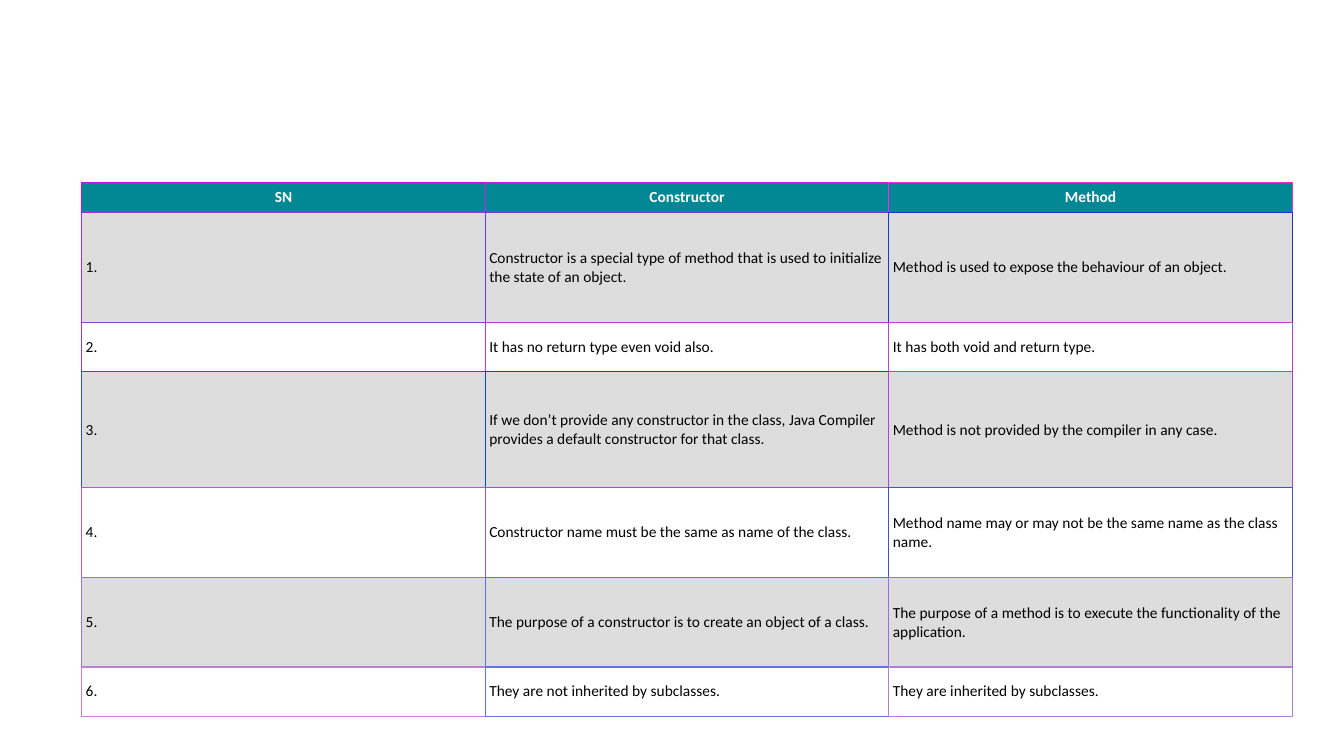
from lxml.etree import SubElement
from pptx import Presentation
from pptx.dml.color import RGBColor
from pptx.enum.text import MSO_ANCHOR as Anchor, PP_ALIGN as Align
from pptx.oxml.ns import qn
from pptx.util import Cm, Pt

# Content
ROWS = [
    ("SN", "Constructor", "Method"),
    ("1.", "Constructor is a special type of method that is used to initialize the state of an object.",
     "Method is used to expose the behaviour of an object."),
    ("2.", "It has no return type even void also.", "It has both void and return type."),
    ("3.", "If we don’t provide any constructor in the class, Java Compiler provides "
     "a default constructor for that class.",
     "Method is not provided by the compiler in any case."),
    ("4.", "Constructor name must be the same as name of the class.",
     "Method name may or may not be the same name as the class name."),
    ("5.", "The purpose of a constructor is to create an object of a class.",
     "The purpose of a method is to execute the functionality of the application."),
    ("6.", "They are not inherited by subclasses.", "They are inherited by subclasses."),
]

# Each cell's own border colour, used on its left and top
BORDERS = [
    ("B019D5", "C027D5", "F02DD5"),
    ("A032D5", "7038D5", "2034D5"),
    ("903FD5", "B040D5", "C03FD5"),
    ("304BD5", "0048D5", "A04AD5"),
    ("B05BD5", "9057D5", "4053D5"),
    ("9075D5", "6072D5", "9075D5"),
    ("C081D5", "6078D5", "B07FD5"),
]
COLORS = {"header": "028795", "odd": "DDDDDD", "even": "FFFFFF",
          "header_text": "FFFFFF", "text": "000000"}

# Layout in centimetres
LEFT, TOP, COLUMN_WIDTH = 2.06, 4.6, 10.17
ROW_HEIGHTS = [0.76, 2.77, 1.24, 2.92, 2.26, 2.26, 1.24]
INSET = 0.1
INNER_LINE, OUTER_LINE = Pt(1), Pt(0.6)


def add_border(cell, side, color, width):
    line = SubElement(cell._tc.get_or_add_tcPr(), qn(f"a:ln{side}"), w=str(width))
    fill = SubElement(line, qn("a:solidFill"))
    SubElement(fill, qn("a:srgbClr"), val=color)


def add_borders(cell, row, column):
    """Right and bottom take the next cell's colour, or a thin own one at the edge."""
    own = BORDERS[row][column]
    last_column = column == len(BORDERS[row]) - 1
    last_row = row == len(BORDERS) - 1
    right = (own, OUTER_LINE) if last_column else (BORDERS[row][column + 1], INNER_LINE)
    bottom = (own, OUTER_LINE) if last_row else (BORDERS[row + 1][column], INNER_LINE)
    add_border(cell, "L", own, INNER_LINE)
    add_border(cell, "R", *right)
    add_border(cell, "T", own, INNER_LINE)
    add_border(cell, "B", *bottom)


def fill_cell(cell, row, column):
    header = row == 0
    add_borders(cell, row, column)
    cell.fill.solid()
    background = "header" if header else "odd" if row % 2 else "even"
    cell.fill.fore_color.rgb = RGBColor.from_string(COLORS[background])
    cell.margin_left = cell.margin_right = Cm(INSET)
    cell.margin_top = cell.margin_bottom = Cm(INSET)
    cell.vertical_anchor = Anchor.MIDDLE
    cell.text = ROWS[row][column]
    paragraph = cell.text_frame.paragraphs[0]
    paragraph.alignment = Align.CENTER if header else Align.LEFT
    font = paragraph.font
    font.name, font.size, font.bold = "Calibri", Pt(11), header
    font.color.rgb = RGBColor.from_string(COLORS["header_text" if header else "text"])


def main():
    presentation = Presentation()
    presentation.slide_width, presentation.slide_height = Cm(33.87), Cm(19.05)
    slide = presentation.slides.add_slide(presentation.slide_layouts[6])

    # Comparison table
    columns = len(ROWS[0])
    table = slide.shapes.add_table(
        len(ROWS), columns, Cm(LEFT), Cm(TOP),
        Cm(COLUMN_WIDTH * columns), Cm(sum(ROW_HEIGHTS))).table
    for table_column in table.columns:
        table_column.width = Cm(COLUMN_WIDTH)
    for row, height in enumerate(ROW_HEIGHTS):
        table.rows[row].height = Cm(height)
        for column in range(columns):
            fill_cell(table.cell(row, column), row, column)

    presentation.save("out.pptx")


if __name__ == "__main__":
    main()
